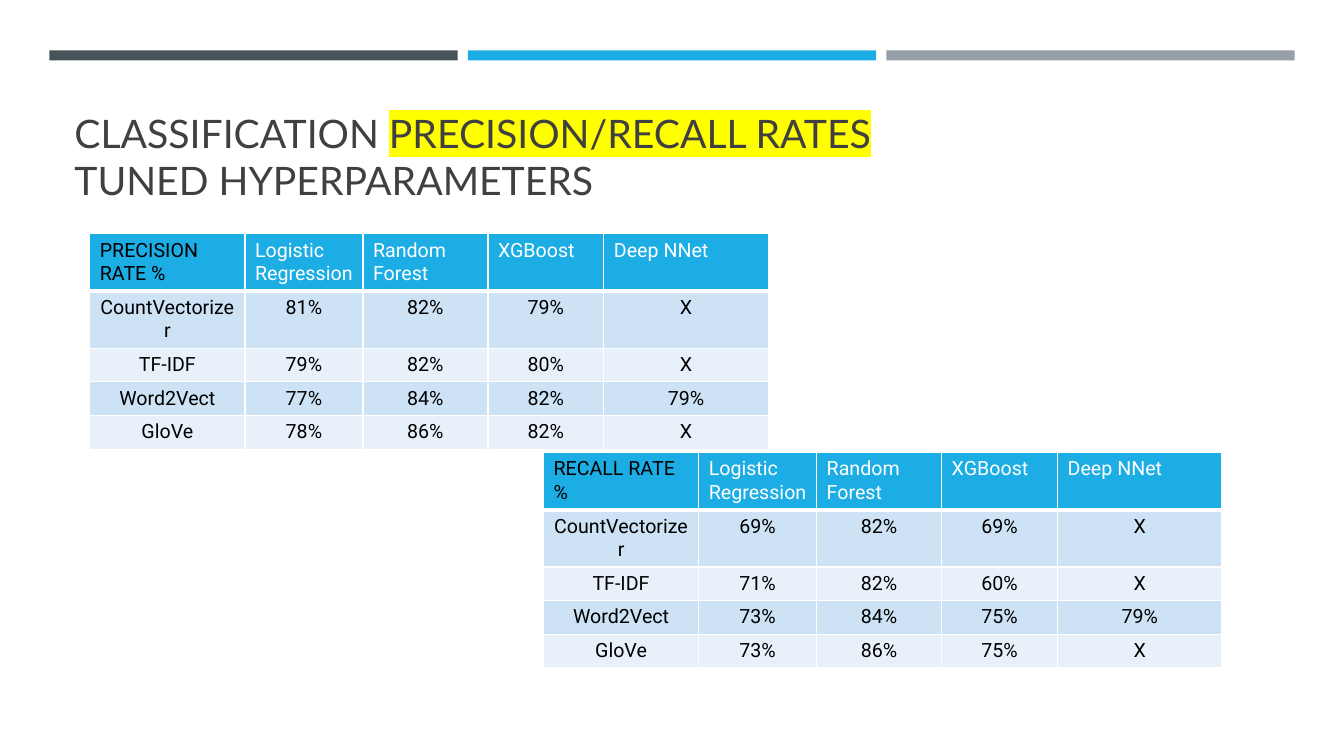
import pptx
import pptx.dml.color
import pptx.enum.shapes
import pptx.enum.text
import pptx.oxml
import pptx.oxml.ns
import pptx.util
from pptx.util import Inches

RGBColor = pptx.dml.color.RGBColor
SLATE = RGBColor(0x46, 0x53, 0x59)
BLUE = RGBColor(0x1C, 0xAD, 0xE4)
GRAY = RGBColor(0x96, 0x9F, 0xA7)
TITLE_GRAY = RGBColor(0x40, 0x40, 0x40)
BLACK = RGBColor(0, 0, 0)
WHITE = RGBColor(0xFF, 0xFF, 0xFF)
YELLOW = RGBColor(0xFF, 0xFF, 0)
BANDS = [RGBColor(0xCD, 0xE3, 0xF5), RGBColor(0xE8, 0xF1, 0xFA)]

COLUMN_WIDTHS = [1.54, 1.17, 1.24, 1.15, 1.63]
ROW_HEIGHTS = [0.47, 0.33, 0.33, 0.33, 0.33]
MODELS = ["Logistic Regression", "Random\nForest", "XGBoost", "Deep NNet"]
FEATURES = ["CountVectorizer", "TF-IDF", "Word2Vect", "GloVe"]
PRECISION = [
    ["81%", "82%", "79%", "X"],
    ["79%", "82%", "80%", "X"],
    ["77%", "84%", "82%", "79%"],
    ["78%", "86%", "82%", "X"],
]
RECALL = [
    ["69%", "82%", "69%", "X"],
    ["71%", "82%", "60%", "X"],
    ["73%", "84%", "75%", "79%"],
    ["73%", "86%", "75%", "X"],
]


class SlideBuilder:
    title_font = "Lato"
    table_font = "Roboto"

    def __init__(self, page):
        self.page = page

    def style(self, span, font_name, size, color):
        span.font.name = font_name
        span.font.size = pptx.util.Pt(size)
        span.font.bold = False
        span.font.color.rgb = color

    def bar(self, left, top, width, height, color):
        shape = self.page.shapes.add_shape(
            pptx.enum.shapes.MSO_SHAPE.RECTANGLE,
            Inches(left), Inches(top), Inches(width), Inches(height))
        shape.shadow.inherit = False
        shape.fill.solid()
        shape.fill.fore_color.rgb = color
        shape.line.fill.background()

    def highlight(self, span, color):
        fill = span.font.fill._xPr.find(pptx.oxml.ns.qn("a:solidFill"))
        fill.addnext(pptx.oxml.parse_xml(
            f'<a:highlight {pptx.oxml.ns.nsdecls("a")}>'
            f'<a:srgbClr val="{color}"/></a:highlight>'))

    def title(self, left, top, width, height, lines):
        """Each line is a list of (text, highlight colour or None)."""
        box = self.page.shapes.add_textbox(
            Inches(left), Inches(top), Inches(width), Inches(height))
        frame = box.text_frame
        frame.word_wrap = True
        frame.vertical_anchor = pptx.enum.text.MSO_ANCHOR.BOTTOM
        para = frame.paragraphs[0]
        for index, line in enumerate(lines):
            if index:
                para.add_line_break()
            for text, marker in line:
                span = para.add_run()
                span.text = text
                self.style(span, self.title_font, 28, TITLE_GRAY)
                if marker is not None:
                    self.highlight(span, marker)

    def borders(self, cell, bottom_width):
        properties = cell._tc.get_or_add_tcPr()
        widths = {"lnL": 1, "lnR": 1, "lnT": 1, "lnB": bottom_width}
        for position, (side, width) in enumerate(widths.items()):
            properties.insert(position, pptx.oxml.parse_xml(
                f'<a:{side} {pptx.oxml.ns.nsdecls("a")} w="{pptx.util.Pt(width)}">'
                f'<a:solidFill><a:srgbClr val="{WHITE}"/></a:solidFill></a:{side}>'))

    def cell(self, cell, text, fill, color, is_header):
        cell.fill.solid()
        cell.fill.fore_color.rgb = fill
        self.borders(cell, 3 if is_header else 1)
        cell.text_frame.text = text
        alignment = pptx.enum.text.PP_ALIGN
        for para in cell.text_frame.paragraphs:
            para.alignment = alignment.LEFT if is_header else alignment.CENTER
            for span in para.runs:
                self.style(span, self.table_font, 14, color)

    def rate_table(self, left, top, heading, rates):
        rows = [[heading] + MODELS]
        rows += [[feature] + values for feature, values in zip(FEATURES, rates)]
        table = self.page.shapes.add_table(
            len(rows), len(COLUMN_WIDTHS), Inches(left), Inches(top),
            Inches(sum(COLUMN_WIDTHS)), Inches(sum(ROW_HEIGHTS))).table
        for column, width in zip(table.columns, COLUMN_WIDTHS):
            column.width = Inches(width)
        for row, height in zip(table.rows, ROW_HEIGHTS):
            row.height = Inches(height)
        for r, texts in enumerate(rows):
            fill = BANDS[(r - 1) % 2] if r else BLUE
            for c, text in enumerate(texts):
                color = WHITE if r == 0 and c else BLACK
                self.cell(table.cell(r, c), text, fill, color, r == 0)


def main():
    deck = pptx.Presentation()
    deck.slide_width = Inches(13.33)
    deck.slide_height = Inches(7.5)
    builder = SlideBuilder(deck.slides.add_slide(deck.slide_layouts[6]))

    # Bars across the top
    for index, color in enumerate([SLATE, BLUE, GRAY]):
        builder.bar(0.49 + index * 4.15, 0.5, 4.05, 0.1, color)

    # Title
    builder.title(0.64, 0.77, 12.06, 1.3, [
        [("CLASSIFICATION ", None), ("PRECISION/RECALL RATES", YELLOW)],
        [("TUNED HYPERPARAMETERS", None)],
    ])

    # Rate tables
    builder.rate_table(0.89, 2.32, "PRECISION RATE %", PRECISION)
    builder.rate_table(5.39, 4.49, "RECALL RATE %", RECALL)

    deck.save("out.pptx")


if __name__ == "__main__":
    main()
